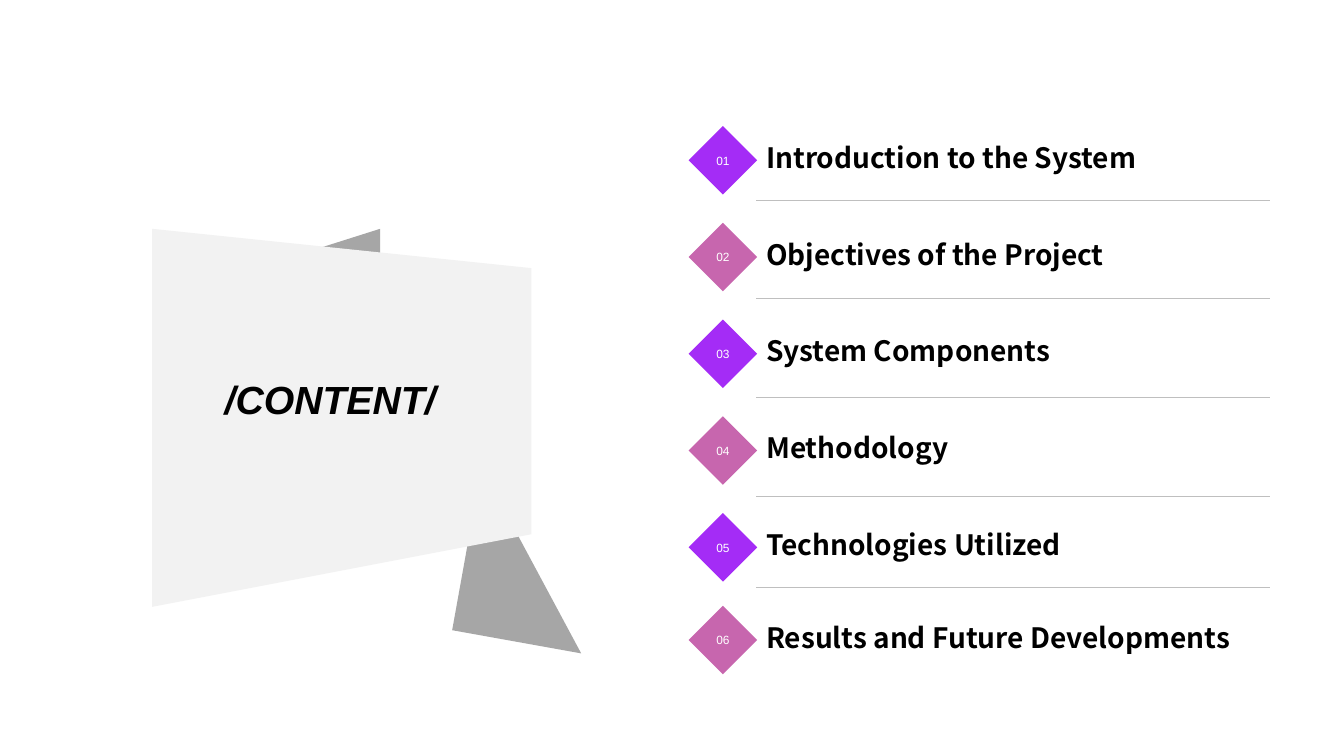
from dataclasses import dataclass

from lxml.etree import SubElement
from pptx import Presentation
from pptx.dml.color import RGBColor
from pptx.enum.shapes import MSO_CONNECTOR as CONN, MSO_SHAPE as SHAPE
from pptx.enum.text import MSO_ANCHOR as ANCHOR, MSO_AUTO_SIZE as AUTO, PP_ALIGN as ALIGN
from pptx.oxml.ns import qn
from pptx.util import Inches, Pt


@dataclass(frozen=True)
class Theme:
    """Colours, fonts and type sizes of the slide."""
    text: str = "000000"
    white: str = "FFFFFF"
    panel: str = "F2F2F2"
    fold: str = "A6A6A6"
    rule: str = "BFBFBF"
    badges: tuple = ("A42CF6", "C766AE")
    font: str = "Arial"
    item_font: str = "Noto Sans CJK SC"
    title_size: float = 28
    item_size: float = 20
    badge_size: float = 8.5
    rule_width: float = 0.25


THEME = Theme()
AGENDA = [
    ("Introduction to the System", 0, 0.74),
    ("Objectives of the Project", 0.96, 1.71),
    ("System Components", 1.92, 2.69),
    ("Methodology", 2.88, 3.67),
    ("Technologies Utilized", 3.84, 4.58),
    ("Results and Future Developments", 4.76, None),
]


def paint(sp, color):
    """Give a shape a plain fill with no line or shadow."""
    sp.shadow.inherit = False
    sp.fill.solid()
    sp.fill.fore_color.rgb = RGBColor.from_string(color)
    sp.line.fill.background()


def add_preset(s, kind, box, color, rotation=0):
    """Add a painted preset shape in the box."""
    sp = s.shapes.add_shape(kind, *map(Inches, box))
    sp.rotation = rotation
    paint(sp, color)
    return sp


def write(tf, text, size, color=THEME.text, font=THEME.font, align=ALIGN.LEFT,
          bold=False, italic=False):
    """Write one formatted, vertically centred line in a text frame."""
    tf.vertical_anchor = ANCHOR.MIDDLE
    p = tf.paragraphs[0]
    p.alignment = align
    r = p.add_run()
    r.text = text
    r.font.size, r.font.name = Pt(size), font
    r.font.bold, r.font.italic = bold, italic
    r.font.color.rgb = RGBColor.from_string(color)


def add_rule(s, left, top, width):
    """Add a thin horizontal dividing line."""
    x, y = Inches(left), Inches(top)
    line = s.shapes.add_connector(CONN.STRAIGHT, x, y, x + Inches(width), y)
    line.line.color.rgb = RGBColor.from_string(THEME.rule)
    line.line.width = Pt(THEME.rule_width)
    SubElement(line._element.spPr, qn("a:effectLst"))


def add_title_panel(s, left, top, width, height):
    """Draw the folded paper panel with the slide title."""
    add_preset(s, SHAPE.RIGHT_TRIANGLE, (left + 3.11, top + 2.47, 1.3, 1.64), THEME.fold, 10.2)
    add_preset(s, SHAPE.ISOSCELES_TRIANGLE, (left + 0.43, top - 0.41, 1.42, 2.24), THEME.fold, 270)
    right, bottom = left + width, top + height
    corners = [(right, top + 0.39), (right, bottom - 0.72), (left, bottom)]
    outline = s.shapes.build_freeform(Inches(left), Inches(top))
    outline.add_line_segments([(Inches(x), Inches(y)) for x, y in corners])
    paint(outline.convert_to_shape(), THEME.panel)
    box = s.shapes.add_textbox(*map(Inches, (left + 0.14, top + 1.24, 3.25, 0.9)))
    box.text_frame.word_wrap = True
    write(box.text_frame, "/CONTENT/", THEME.title_size, align=ALIGN.CENTER,
          bold=True, italic=True)


def add_agenda(s, left, top, width):
    """List the numbered agenda items with rules between them."""
    badge, text_left = 0.68, left + 0.67
    text_width = width - 0.67
    for i, (label, offset, rule) in enumerate(AGENDA):
        y = top + offset
        color = THEME.badges[i % len(THEME.badges)]
        sp = add_preset(s, SHAPE.DIAMOND, (left, y, badge, badge), color)
        tf = sp.text_frame
        tf.word_wrap = False
        tf.margin_left = tf.margin_right = tf.margin_top = tf.margin_bottom = 0
        write(tf, f"{i + 1:02}", THEME.badge_size, THEME.white, align=ALIGN.CENTER)
        box = s.shapes.add_textbox(*map(Inches, (text_left, y + 0.09, text_width, 0.44)))
        box.text_frame.word_wrap = True
        box.text_frame.auto_size = AUTO.SHAPE_TO_FIT_TEXT
        write(box.text_frame, label, THEME.item_size, font=THEME.item_font, bold=True)
        if rule is not None:
            add_rule(s, text_left, top + rule, text_width)


def main():
    """Build and save the content slide."""
    prs = Presentation()
    prs.slide_width, prs.slide_height = Inches(13.33), Inches(7.5)
    s = prs.slides.add_slide(prs.slide_layouts[6])
    add_title_panel(s, 1.51, 2.27, 3.76, 3.75)
    add_agenda(s, 6.83, 1.25, 5.77)
    prs.save("out.pptx")


if __name__ == "__main__":
    main()
